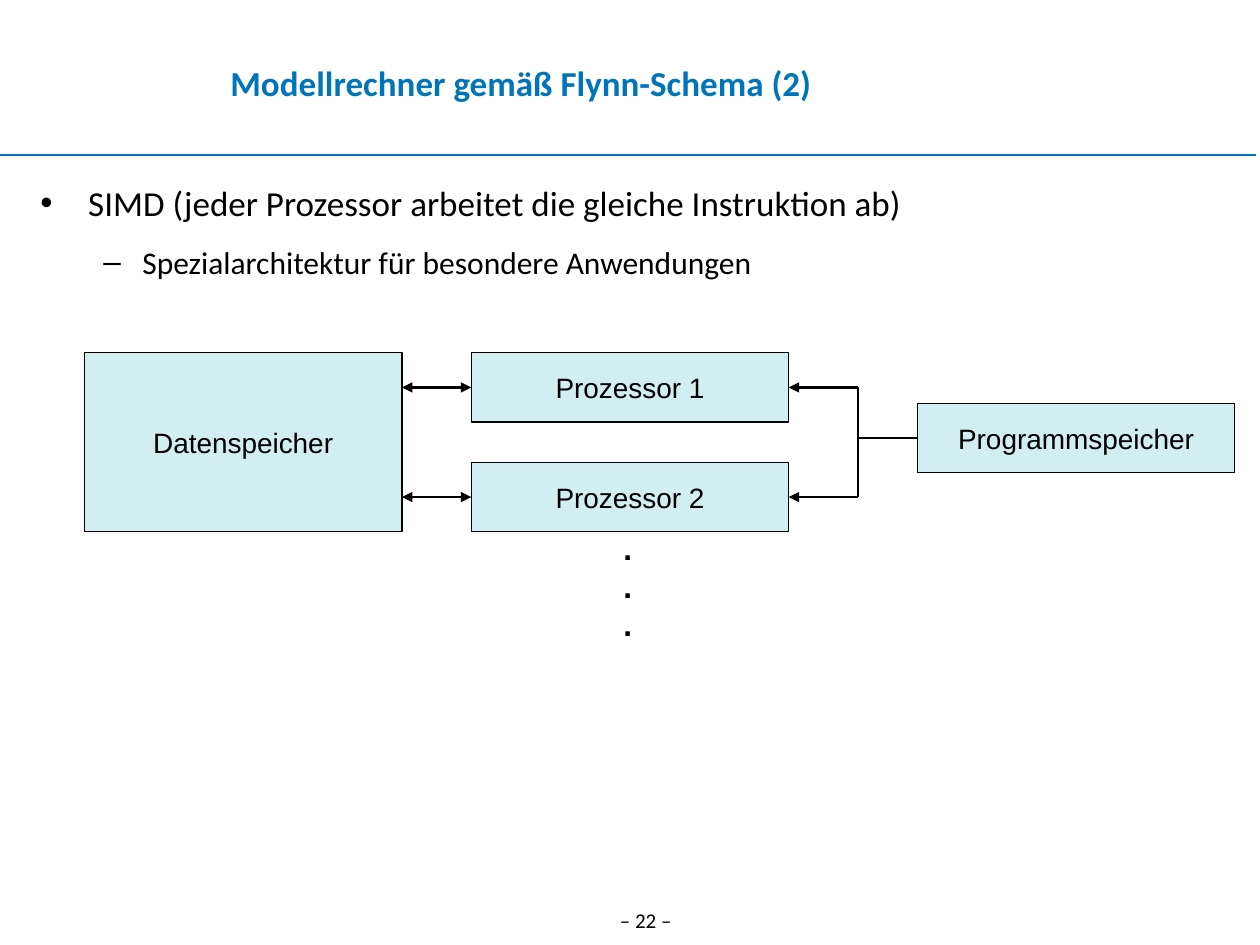
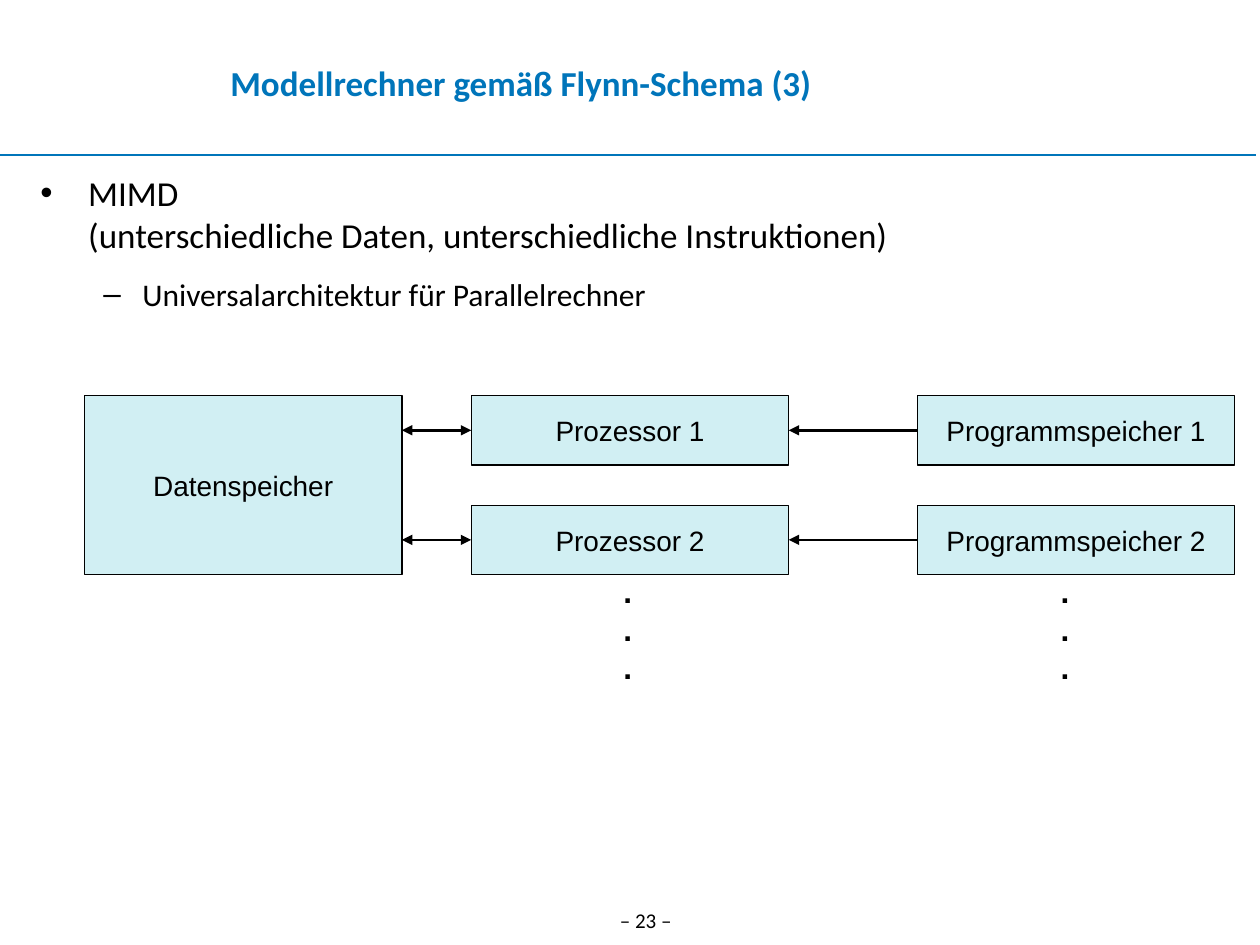
import pptx
import pptx.dml.color
import pptx.enum.shapes
import pptx.enum.text
import pptx.oxml.ns
import pptx.util
from lxml import etree
from pptx.util import Inches

BLUE = pptx.dml.color.RGBColor(0x00, 0x75, 0xBA)
BLACK = pptx.dml.color.RGBColor(0x00, 0x00, 0x00)
PALE_CYAN = pptx.dml.color.RGBColor(0xD1, 0xEF, 0xF3)
TEXT_FONT = "Calibri"
DIAGRAM_FONT = "Arial"

# Diagram grid, in inches from the diagram's top left corner
BOX_WIDTH, BOX_HEIGHT = 2.52, 0.55
ROW_STEP = 0.87
PROCESSOR_X, PROGRAM_X = 3.07, 6.61
BUS_X = 6.14
DOTS_Y = 1.35
DIAGRAM_LEFT = 0.67
LEFT_SIDE, RIGHT_SIDE = 1, 3

# Bullet, text indent, hanging indent (inches), space before, size (points)
LIST_LEVELS = [("•", 0.38, 0.38, 12.5, 20), ("–", 0.81, 0.31, 11.2, 18)]


def style_font(para, name, size, color=BLACK, bold=False):
    para.font.name = name
    para.font.size = pptx.util.Pt(size)
    para.font.color.rgb = color
    para.font.bold = bold


def place(shape, left, top, width, height):
    shape.left, shape.top = Inches(left), Inches(top)
    shape.width, shape.height = Inches(width), Inches(height)


def add_line(page, start, end, color=BLACK, width=1.5, arrows=()):
    """Draw a straight line; arrows may name headEnd (start) and tailEnd (end)."""
    line = page.shapes.add_connector(
        pptx.enum.shapes.MSO_CONNECTOR.STRAIGHT,
        *(Inches(value) for value in (*start, *end)))
    line.line.color.rgb = color
    line.line.width = pptx.util.Pt(width)
    outline = line.line._get_or_add_ln()
    for arrow in arrows:
        etree.SubElement(outline, pptx.oxml.ns.qn(f"a:{arrow}"), type="triangle")
    etree.SubElement(line._element.spPr, pptx.oxml.ns.qn("a:effectLst"))
    return line


def add_title(page, text):
    title = page.shapes.title
    place(title, 0.2, 0.23, 7.87, 0.85)
    frame = title.text_frame
    frame.text = text
    frame.auto_size = pptx.enum.text.MSO_AUTO_SIZE.NONE
    frame.vertical_anchor = pptx.enum.text.MSO_ANCHOR.MIDDLE
    frame.margin_left = frame.margin_right = 0
    frame.margin_top = frame.margin_bottom = 0
    para = frame.paragraphs[0]
    para.alignment = pptx.enum.text.PP_ALIGN.CENTER
    style_font(para, TEXT_FONT, 20, BLUE, bold=True)


def add_list(page, top, lines):
    """Fill the body with one line per list level."""
    body = page.placeholders[1]
    place(body, 0.22, top, 9.59, 5.43)
    frame = body.text_frame
    frame.auto_size = pptx.enum.text.MSO_AUTO_SIZE.NONE
    frame.text = "\n".join(lines)
    for level, (para, style) in enumerate(zip(frame.paragraphs, LIST_LEVELS)):
        bullet, indent, hanging, space, size = style
        para.level = level
        para.space_before = pptx.util.Pt(space)
        properties = para._p.get_or_add_pPr()
        properties.set("marL", str(Inches(indent)))
        properties.set("indent", str(-Inches(hanging)))
        etree.SubElement(properties, pptx.oxml.ns.qn("a:buChar"), char=bullet)
        style_font(para, TEXT_FONT, size)


def add_page_number(page, number):
    box = page.shapes.add_textbox(Inches(4.69), Inches(7.15), Inches(0.87), Inches(0.3))
    box.text_frame.word_wrap = True
    para = box.text_frame.paragraphs[0]
    para.text = f"– {number} –"
    para.alignment = pptx.enum.text.PP_ALIGN.CENTER
    style_font(para, TEXT_FONT, 12)


def add_unit(page, text, left, top, height=BOX_HEIGHT):
    """Add a labelled box for a memory or a processor."""
    unit = page.shapes.add_shape(
        pptx.enum.shapes.MSO_SHAPE.RECTANGLE,
        Inches(left), Inches(top), Inches(BOX_WIDTH), Inches(height))
    unit.shadow.inherit = False
    unit.fill.solid()
    unit.fill.fore_color.rgb = PALE_CYAN
    unit.line.color.rgb = BLACK
    unit.line.width = pptx.util.Pt(0.75)
    unit.text_frame.word_wrap = False
    unit.text_frame.vertical_anchor = pptx.enum.text.MSO_ANCHOR.MIDDLE
    para = unit.text_frame.paragraphs[0]
    para.text = text
    para.alignment = pptx.enum.text.PP_ALIGN.CENTER
    style_font(para, DIAGRAM_FONT, 16)
    return unit


def add_dots(page, left, top):
    """Show that a column of units goes on."""
    box = page.shapes.add_textbox(Inches(left), Inches(top), Inches(0.27), Inches(1))
    box.text_frame.word_wrap = False
    box.text_frame.text = "\n".join("...")
    for para in box.text_frame.paragraphs:
        style_font(para, DIAGRAM_FONT, 18, bold=True)


def add_processors(page, left, top):
    """Add the data memory and its two processors; return the processors."""
    add_unit(page, "Datenspeicher", left, top, ROW_STEP + BOX_HEIGHT)
    processors = []
    for row in range(2):
        row_top = top + row * ROW_STEP
        middle = row_top + BOX_HEIGHT / 2
        processor = add_unit(page, f"Prozessor {row + 1}", left + PROCESSOR_X, row_top)
        data_link = add_line(page, (left + BOX_WIDTH, middle), (left + PROCESSOR_X, middle),
                             arrows=("headEnd", "tailEnd"))
        data_link.end_connect(processor, LEFT_SIDE)
        processors.append(processor)
    add_dots(page, left + 4.18, top + DOTS_Y)
    return processors


def add_simd_diagram(page, left, top):
    """One program memory feeds all processors over a bus."""
    processors = add_processors(page, left, top)
    program_top = top + 0.4
    program = add_unit(page, "Programmspeicher", left + PROGRAM_X, program_top)
    bus_x = left + BUS_X
    row_middles = [top + row * ROW_STEP + BOX_HEIGHT / 2 for row in range(2)]
    for processor, middle in zip(processors, row_middles):
        branch = add_line(page, (left + PROCESSOR_X + BOX_WIDTH, middle), (bus_x, middle),
                          arrows=("headEnd",))
        branch.begin_connect(processor, RIGHT_SIDE)
    add_line(page, (bus_x, row_middles[0]), (bus_x, row_middles[1]))
    program_middle = program_top + BOX_HEIGHT / 2
    feed = add_line(page, (bus_x, program_middle), (left + PROGRAM_X, program_middle))
    feed.end_connect(program, LEFT_SIDE)


def add_mimd_diagram(page, left, top):
    """Each processor has its own program memory."""
    for row, processor in enumerate(add_processors(page, left, top)):
        row_top = top + row * ROW_STEP
        middle = row_top + BOX_HEIGHT / 2
        program = add_unit(page, f"Programmspeicher {row + 1}", left + PROGRAM_X, row_top)
        feed = add_line(page, (left + PROCESSOR_X + BOX_WIDTH, middle),
                        (left + PROGRAM_X, middle), arrows=("headEnd",))
        feed.begin_connect(processor, RIGHT_SIDE)
        feed.end_connect(program, LEFT_SIDE)
    add_dots(page, left + 7.65, top + DOTS_Y)


def add_page(deck, number, part, list_top, lines):
    """Add a slide with the shared title, rule, list and page number."""
    page = deck.slides.add_slide(deck.slide_layouts[1])
    add_line(page, (0, 1.23), (9.97, 1.23), BLUE, 0.75)
    add_page_number(page, number)
    add_title(page, f"Modellrechner gemäß Flynn-Schema ({part})")
    add_list(page, list_top, lines)
    return page


def main():
    deck = pptx.Presentation()
    deck.slide_width, deck.slide_height = Inches(10), Inches(7.5)

    simd_page = add_page(deck, 22, 2, 1.39, [
        "SIMD (jeder Prozessor arbeitet die gleiche Instruktion ab)",
        "Spezialarchitektur für besondere Anwendungen"])
    add_simd_diagram(simd_page, DIAGRAM_LEFT, 2.8)

    mimd_page = add_page(deck, 23, 3, 1.31, [
        "MIMD\v(unterschiedliche Daten, unterschiedliche Instruktionen)",
        "Universalarchitektur für Parallelrechner"])
    add_mimd_diagram(mimd_page, DIAGRAM_LEFT, 3.14)

    deck.save("out.pptx")


if __name__ == "__main__":
    main()
